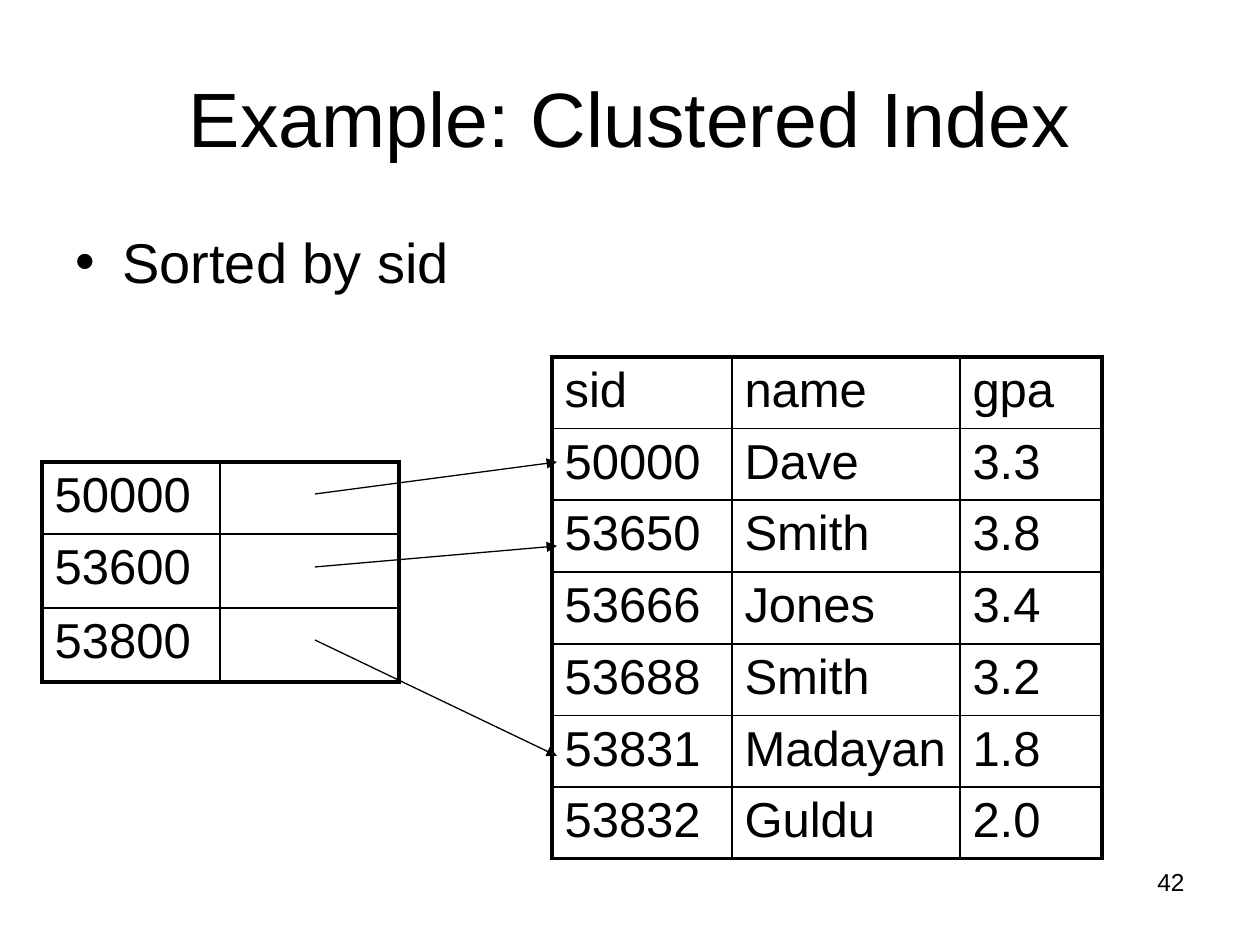
from lxml.etree import SubElement
from pptx import Presentation
from pptx.dml.color import RGBColor
from pptx.enum.shapes import MSO_CONNECTOR
from pptx.enum.text import MSO_ANCHOR, PP_ALIGN
from pptx.oxml.ns import qn
from pptx.util import Pt

PX = 7257  # EMU in one px, 126 px to the inch
BLACK = RGBColor(0, 0, 0)
WHITE = RGBColor(255, 255, 255)
THIN, THICK = Pt(1), Pt(2.25)


def write(frame, text, size, align=PP_ALIGN.LEFT, bullet=None, indent=0):
    para = frame.paragraphs[0]
    para.alignment = align
    if bullet:
        properties = para._p.get_or_add_pPr()
        properties.set("marL", str(indent * PX))
        properties.set("indent", str(-indent * PX))
        SubElement(properties, qn("a:buFont"), typeface="Arial")
        SubElement(properties, qn("a:buChar"), char=bullet)
    span = para.add_run()
    span.text = text
    span.font.name = "Arial"
    span.font.size = Pt(size)
    span.font.color.rgb = BLACK


def draw_border(cell, side, width):
    line = SubElement(cell._tc.get_or_add_tcPr(), qn(f"a:ln{side}"), w=str(width))
    fill = SubElement(line, qn("a:solidFill"))
    SubElement(fill, qn("a:srgbClr"), val=str(BLACK))


deck = Presentation()
deck.slide_width = 1260 * PX
deck.slide_height = 945 * PX
page = deck.slides.add_slide(deck.slide_layouts[6])
page.background.fill.solid()
page.background.fill.fore_color.rgb = WHITE

# Title, bullet and page number
texts = [
    ((63, 38, 1134, 157), MSO_ANCHOR.MIDDLE, "Example: Clustered Index",
     dict(size=44, align=PP_ALIGN.CENTER)),
    ((63, 221, 1134, 624), MSO_ANCHOR.TOP, "Sorted by sid",
     dict(size=32, bullet="•", indent=47)),
    ((903, 861, 294, 66), MSO_ANCHOR.TOP, "42",
     dict(size=14, align=PP_ALIGN.RIGHT)),
]
for bounds, anchor, text, style in texts:
    box = page.shapes.add_textbox(*(length * PX for length in bounds))
    box.text_frame.word_wrap = True
    box.text_frame.vertical_anchor = anchor
    write(box.text_frame, text, **style)

# Data records and the index that points into them
records = [
    ("sid", "name", "gpa"),
    ("50000", "Dave", "3.3"),
    ("53650", "Smith", "3.8"),
    ("53666", "Jones", "3.4"),
    ("53688", "Smith", "3.2"),
    ("53831", "Madayan", "1.8"),
    ("53832", "Guldu", "2.0"),
]
index_entries = [("50000", ""), ("53600", ""), ("53800", "")]
tables = [
    (552, 357, (180, 228, 142), (70, 70, 72, 72, 70, 71, 70), records),
    (42, 462, (178, 179), (72, 74, 74), index_entries),
]
for left, top, widths, heights, rows in tables:
    table = page.shapes.add_table(
        len(heights), len(widths), left * PX, top * PX,
        sum(widths) * PX, sum(heights) * PX).table
    table.first_row = False
    table.horz_banding = False
    for column, width in zip(table.columns, widths):
        column.width = width * PX
    for row, height in zip(table.rows, heights):
        row.height = height * PX
    for r, values in enumerate(rows):
        for c, value in enumerate(values):
            cell = table.cell(r, c)
            outer_edges = {
                "L": c == 0,
                "R": c == len(widths) - 1,
                "T": r == 0,
                "B": r == len(heights) - 1,
            }
            for side, is_outer in outer_edges.items():
                draw_border(cell, side, THICK if is_outer else THIN)
            cell.fill.background()
            if value:
                write(cell.text_frame, value, 28)

# Pointers from index entries to records
for start_y, end_y in [(494, 462), (567, 546), (640, 756)]:
    pointer = page.shapes.add_connector(
        MSO_CONNECTOR.STRAIGHT, 315 * PX, start_y * PX, 557 * PX, end_y * PX)
    pointer.line.color.rgb = BLACK
    pointer.line.width = Pt(0.75)
    SubElement(pointer.line._get_or_add_ln(), qn("a:tailEnd"), type="triangle")
    SubElement(pointer._element.spPr, qn("a:effectLst"))

deck.save("out.pptx")
